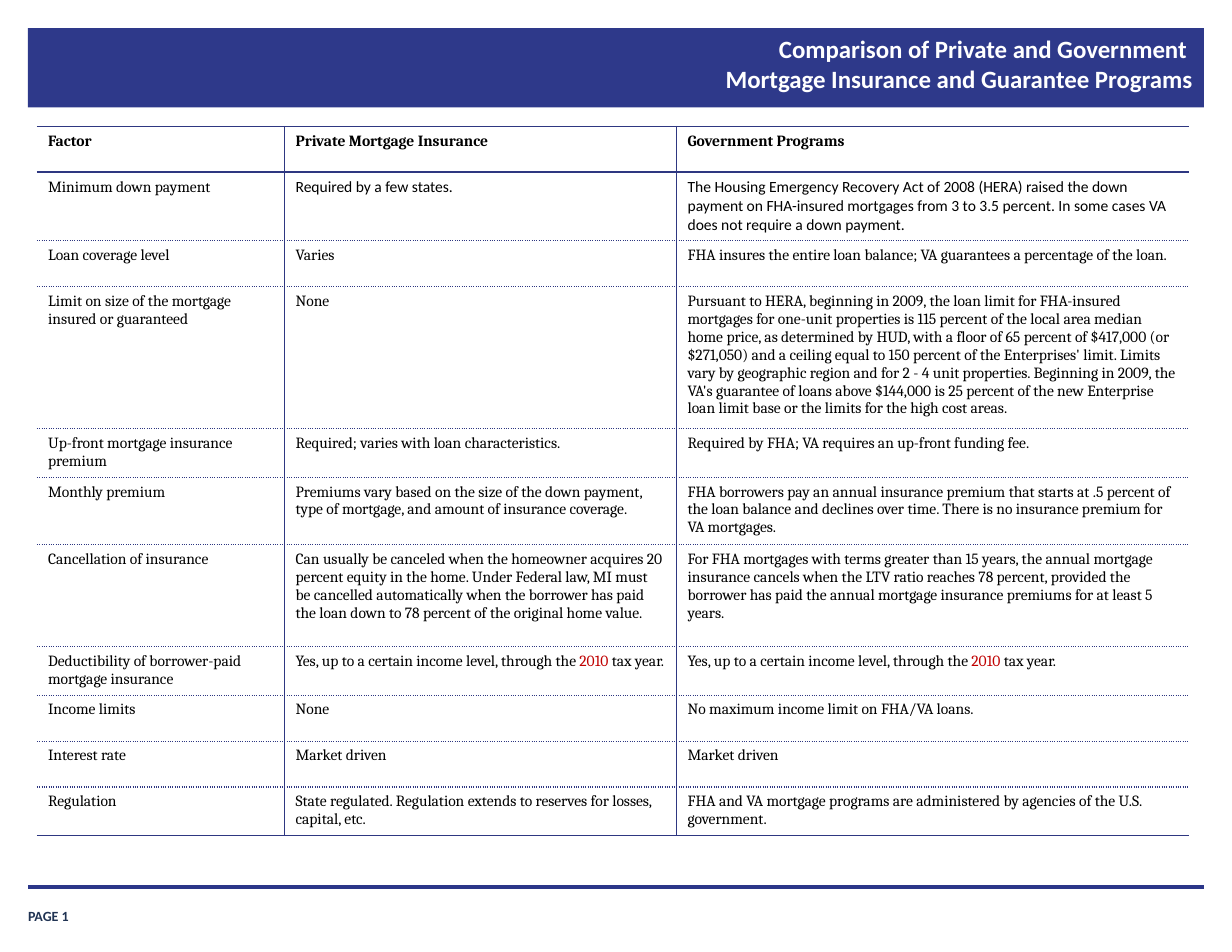
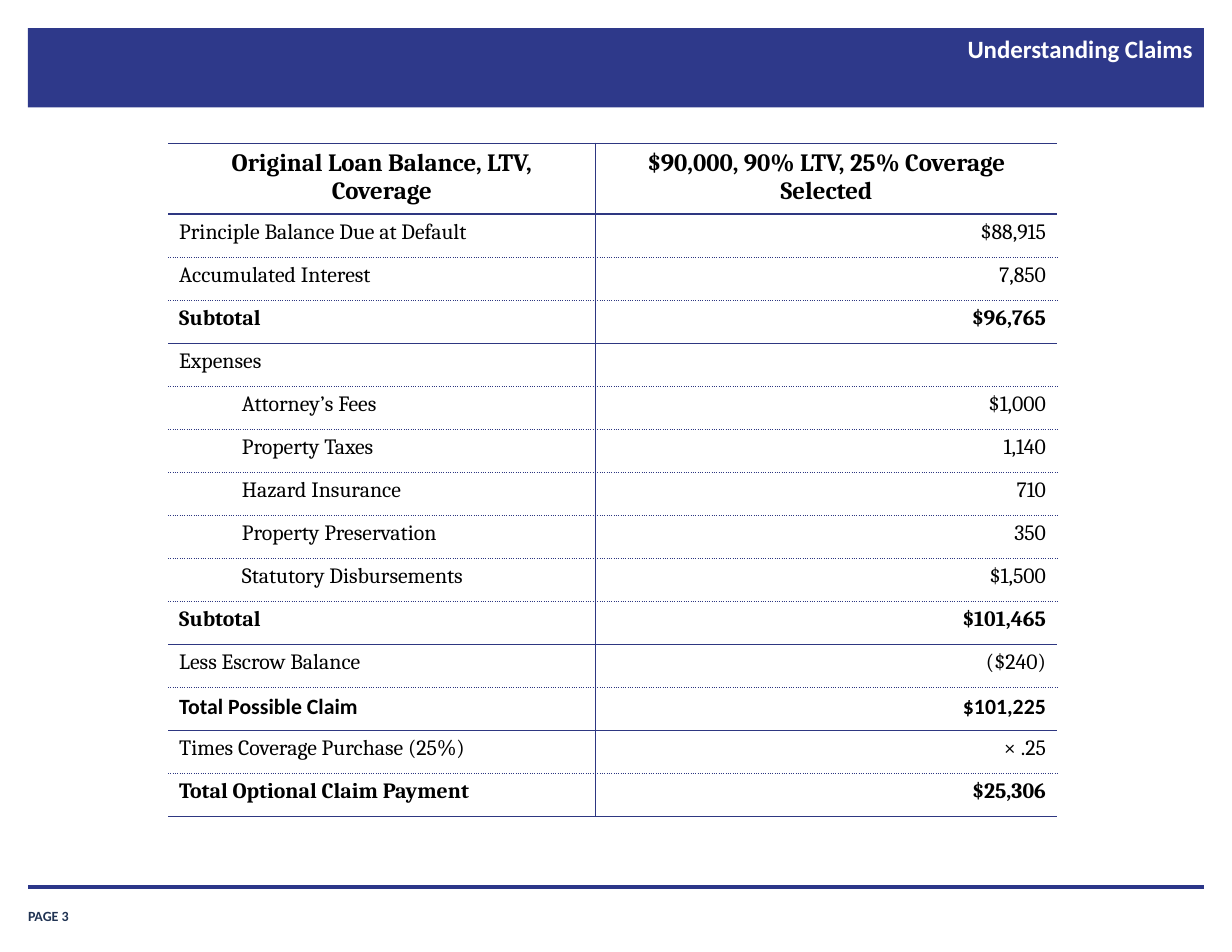
"""Build two slides that compare mortgage insurance programs and explain claims."""
from lxml import etree
from pptx import Presentation
from pptx.dml.color import RGBColor
from pptx.enum.shapes import MSO_CONNECTOR, MSO_SHAPE
from pptx.enum.text import MSO_ANCHOR, PP_ALIGN
from pptx.oxml.ns import qn
from pptx.util import Inches, Pt

STRAIGHT = MSO_CONNECTOR.STRAIGHT
RECTANGLE = MSO_SHAPE.RECTANGLE
TOP, BOTTOM = MSO_ANCHOR.TOP, MSO_ANCHOR.BOTTOM
LEFT, CENTER, RIGHT = PP_ALIGN.LEFT, PP_ALIGN.CENTER, PP_ALIGN.RIGHT

COLORS = {
    "band": "2E398A",
    "rule": "2E3781",
    "footer": "2B3689",
    "page": "203353",
    "white": "FFFFFF",
    "black": "000000",
    "year": "C00000",
}
TITLE = {"name": "Calibri", "size": 16, "bold": True, "color": "white"}
FOOTER = {"name": "Calibri", "size": 9, "bold": True, "color": "page"}
CELL = {"name": "Cambria", "size": 10, "bold": False, "color": "black"}
SANS = {"name": "Calibri"}
BOLD = {"bold": True}
INDENTED = {"indent": 0.56}

TAX_YEAR = [
    ("Yes, up to a certain income level, through the ", {}),
    ("2010", {"color": "year"}),
    (" tax year.", {}),
]

PROGRAM_ROWS = [
    (0.41, ["Factor", "Private Mortgage Insurance", "Government Programs"], BOLD),
    (0.61, [
        "Minimum down payment",
        [("Required by a few states.", SANS)],
        [("The Housing Emergency Recovery Act of 2008 (HERA) raised the down payment on "
          "FHA-insured mortgages from 3 to 3.5 percent. In some cases VA does not require "
          "a down payment.", SANS)],
    ], {}),
    (0.41, [
        "Loan coverage level",
        "Varies",
        "FHA insures the entire loan balance; VA guarantees a percentage of the loan.",
    ], {}),
    (1.22, [
        "Limit on size of the mortgage insured or guaranteed",
        "None",
        "Pursuant to HERA, beginning in 2009, the loan limit for FHA-insured mortgages for "
        "one-unit properties is 115 percent of the local area median home price, as "
        "determined by HUD, with a floor of 65 percent of $417,000 (or $271,050) and a "
        "ceiling equal to 150 percent of the Enterprises' limit. Limits vary by geographic "
        "region and for 2 - 4 unit properties. Beginning in 2009, the VA's guarantee of "
        "loans above $144,000 is 25 percent of the new Enterprise loan limit base or the "
        "limits for the high cost areas.",
    ], {}),
    (0.42, [
        "Up-front mortgage insurance premium",
        "Required; varies with loan characteristics.",
        "Required by FHA; VA requires an up-front funding fee.",
    ], {}),
    (0.58, [
        "Monthly premium",
        "Premiums vary based on the size of the down payment, type of mortgage, and amount "
        "of insurance coverage.",
        "FHA borrowers pay an annual insurance premium that starts at .5 percent of the "
        "loan balance and declines over time. There is no insurance premium for VA "
        "mortgages.",
    ], {}),
    (0.91, [
        "Cancellation of insurance",
        "Can usually be canceled when the homeowner acquires 20 percent equity in the home. "
        "Under Federal law, MI must be cancelled automatically when the borrower has paid "
        "the loan down to 78 percent of the original home value.",
        "For FHA mortgages with terms greater than 15 years, the annual mortgage insurance "
        "cancels when the LTV ratio reaches 78 percent, provided the borrower has paid the "
        "annual mortgage insurance premiums for at least 5 years.",
    ], {}),
    (0.42, ["Deductibility of borrower-paid mortgage insurance", TAX_YEAR, TAX_YEAR], {}),
    (0.41, ["Income limits", "None", "No maximum income limit on FHA/VA loans."], {}),
    (0.41, ["Interest rate", "Market driven", "Market driven"], {}),
    (0.42, [
        "Regulation",
        "State regulated. Regulation extends to reserves for losses, capital, etc.",
        "FHA and VA mortgage programs are administered by agencies of the U.S. government.",
    ], {}),
]

CLAIM_LINES = [
    ("Principle Balance Due at Default", "$88,915", {}),
    ("Accumulated Interest", "7,850", {}),
    ("Subtotal", "$96,765", BOLD),
    ("Expenses", "", {}),
    ("Attorney’s Fees", "$1,000", INDENTED),
    ("Property Taxes", "1,140", INDENTED),
    ("Hazard Insurance", "710", INDENTED),
    ("Property Preservation", "350", INDENTED),
    ("Statutory Disbursements", "$1,500", INDENTED),
    ("Subtotal", "$101,465", BOLD),
    ("Less Escrow Balance", "($240)", {}),
    ("Total Possible Claim", "$101,225", BOLD | SANS),
    ("Times Coverage Purchase (25%)", "× .25", {}),
    ("Total Optional Claim Payment", "$25,306", BOLD),
]
CLAIM_HEADER = (
    0.62,
    ["Original Loan Balance, LTV, Coverage", "$90,000, 90% LTV, 25% Coverage Selected"],
    BOLD | {"size": 16},
)
CLAIM_HEIGHT = 5.38 / len(CLAIM_LINES)
CLAIM_ROWS = [CLAIM_HEADER] + [
    (CLAIM_HEIGHT, [label, amount], style) for label, amount, style in CLAIM_LINES
]


class Deck:
    """Holds the shared style and the current slide."""

    def __init__(self):
        """Start an empty letter-size presentation."""
        self.presentation = Presentation()
        self.presentation.slide_width = Inches(11)
        self.presentation.slide_height = Inches(8.5)
        self.page = None

    def add_page(self, title, number):
        """Add a slide with its band, title and footer."""
        self.page = self.presentation.slides.add_slide(self.presentation.slide_layouts[6])
        self.band(0.25, 0.25, 10.5, 0.71)
        self.text(title, (3.32, 0.24, 7.44, 0.74), TITLE, RIGHT, TOP, (0.11, 0.06))
        self.line(0.25, 7.92, 10.75)
        self.text(f"PAGE {number}", (0.25, 8.02, 0.91, 0.23), FOOTER, LEFT, BOTTOM, (0, 0))

    def band(self, left, top, width, height):
        """Draw the filled title band."""
        band = self.page.shapes.add_shape(
            RECTANGLE, Inches(left), Inches(top), Inches(width), Inches(height))
        band.shadow.inherit = False
        band.fill.solid()
        band.fill.fore_color.rgb = RGBColor.from_string(COLORS["band"])
        band.line.fill.background()

    def line(self, left, top, right):
        """Draw the horizontal footer line."""
        line = self.page.shapes.add_connector(
            STRAIGHT, Inches(left), Inches(top), Inches(right), Inches(top))
        line.line.color.rgb = RGBColor.from_string(COLORS["footer"])
        line.line.width = Pt(2.25)
        etree.SubElement(line._element.spPr, qn("a:effectLst"))

    def span(self, para, text, style):
        """Add one run of formatted text."""
        span = para.add_run()
        span.text = text
        values = {"name": style["name"], "size": Pt(style["size"]), "bold": style["bold"]}
        for name, value in values.items():
            setattr(span.font, name, value)
        span.font.color.rgb = RGBColor.from_string(COLORS[style["color"]])

    def text(self, text, place, style, align, anchor, inset):
        """Add a text box whose lines share one paragraph."""
        box = self.page.shapes.add_textbox(*[Inches(value) for value in place])
        across, down = [Inches(value) for value in inset]
        values = {
            "word_wrap": True,
            "vertical_anchor": anchor,
            "margin_left": across,
            "margin_right": across,
            "margin_top": down,
            "margin_bottom": down,
        }
        for name, value in values.items():
            setattr(box.text_frame, name, value)
        para = box.text_frame.paragraphs[0]
        para.alignment = align
        for index, words in enumerate(text.split("\n")):
            if index:
                para.add_line_break()
            self.span(para, words, style)

    def border(self, cell, side, kind):
        """Set one cell border as solid, heavy, dotted or none."""
        width = 1.5 if kind == "heavy" else 1
        edge = etree.SubElement(
            cell._tc.get_or_add_tcPr(), qn(f"a:ln{side}"), w=str(Pt(width)))
        if kind == "none":
            etree.SubElement(edge, qn("a:noFill"))
            return
        fill = etree.SubElement(edge, qn("a:solidFill"))
        etree.SubElement(fill, qn("a:srgbClr"), val=COLORS["rule"])
        dash = "sysDot" if kind == "dotted" else "solid"
        etree.SubElement(edge, qn("a:prstDash"), val=dash)

    def cell(self, cell, content, style, align):
        """Fill a table cell with one paragraph."""
        para = cell.text_frame.paragraphs[0]
        para.alignment = align
        if "indent" in style and align == LEFT:
            para._p.get_or_add_pPr().set("marL", str(Inches(style["indent"])))
        spans = [(content, {})] if isinstance(content, str) else content
        for words, changes in spans:
            if words:
                self.span(para, words, style | changes)
        etree.SubElement(para._p, qn("a:endParaRPr"), sz=str(style["size"] * 100))

    def table(self, left, top, widths, rows, base, header_align, aligns):
        """Add a ruled table with solid lines below bold rows."""
        heights = [height for height, _, _ in rows]
        table = self.page.shapes.add_table(
            len(rows), len(widths), Inches(left), Inches(top),
            Inches(sum(widths)), Inches(sum(heights))).table
        table.first_row = False
        table.horz_banding = False
        for column, width in zip(table.columns, widths):
            column.width = Inches(width)
        above = "solid"
        for index, (height, contents, changes) in enumerate(rows):
            table.rows[index].height = Inches(height)
            style = base | changes
            last = index == len(rows) - 1
            below = "solid" if style["bold"] or last else "dotted"
            if index == 0:
                below = "heavy"
            for position, content in enumerate(contents):
                cell = table.cell(index, position)
                edges = {
                    "L": "solid" if position else "none",
                    "R": "solid" if position < len(widths) - 1 else "none",
                    "T": above,
                    "B": below,
                }
                for side, kind in edges.items():
                    self.border(cell, side, kind)
                cell.fill.background()
                align = aligns[position] if index else header_align
                self.cell(cell, content, style, align)
            above = below


def main():
    """Build both slides and save them."""
    deck = Deck()
    deck.add_page(
        "Comparison of Private and Government \nMortgage Insurance and Guarantee Programs", 1)
    deck.table(0.33, 1.13, [2.21, 3.5, 4.58], PROGRAM_ROWS, CELL, LEFT, [LEFT] * 3)
    deck.add_page("Understanding Claims", 3)
    deck.table(
        1.5, 1.28, [3.82, 4.12], CLAIM_ROWS, CELL | {"size": 14}, CENTER, [LEFT, RIGHT])
    deck.presentation.save("out.pptx")


if __name__ == "__main__":
    main()
